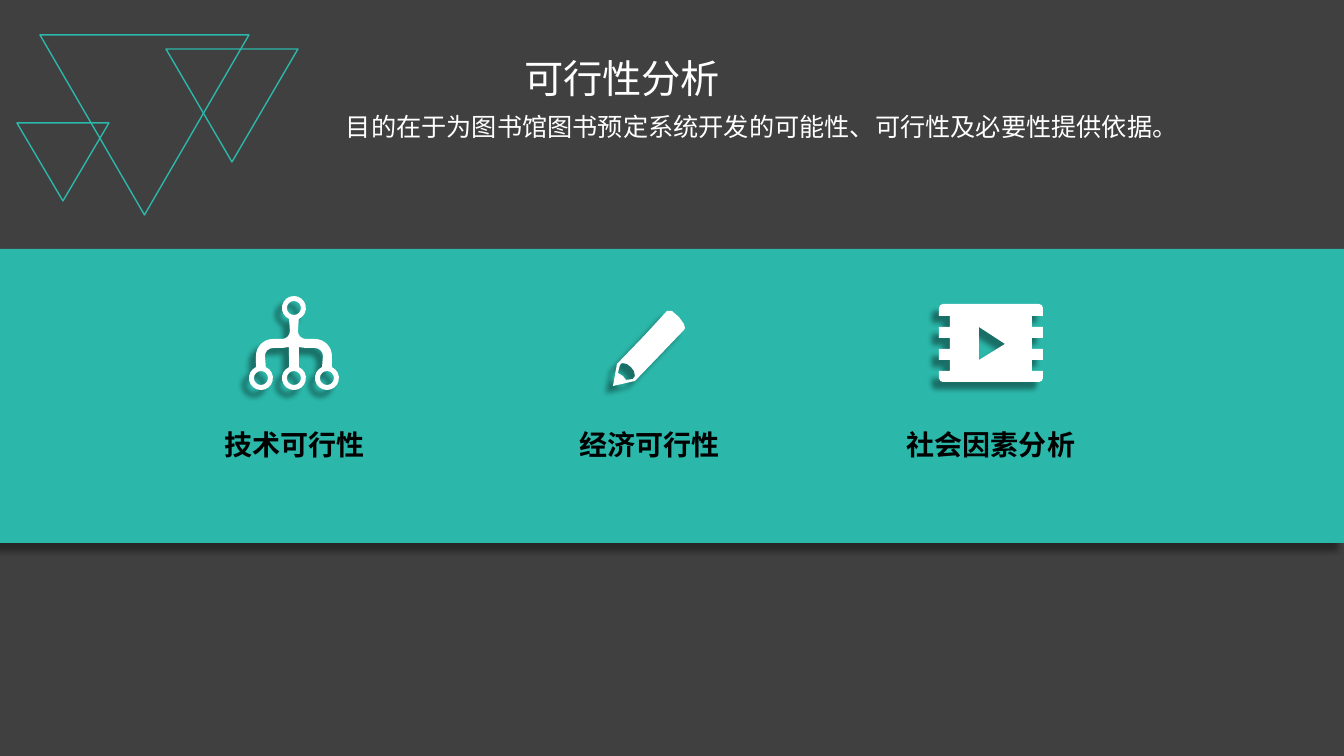
from math import ceil, cos, radians, sin, tan

from lxml.etree import SubElement
from pptx import Presentation
from pptx.dml.color import RGBColor as RGB
from pptx.enum.shapes import MSO_SHAPE as SHAPE
from pptx.enum.text import PP_ALIGN as ALIGN
from pptx.oxml import parse_xml
from pptx.oxml.ns import nsdecls, qn
from pptx.util import Pt

PX = 914400 / 100.8  # EMU per px
THEME = {
    "font": "Noto Sans CJK SC",
    "teal": RGB.from_string("2BB8AA"),
    "white": RGB.from_string("FFFFFF"),
    "black": RGB.from_string("000000"),
    "title": Pt(28), "body": Pt(18), "label": Pt(20),
}
SHADOW = (
    f'<a:effectLst {nsdecls("a")}><a:outerShdw blurRad="{Pt(4)}" dist="{Pt(7)}" '
    'dir="8100000" algn="tr" rotWithShape="0"><a:srgbClr val="000000">'
    '<a:alpha val="40000"/></a:srgbClr></a:outerShdw></a:effectLst>'
)


def emu(*lengths):
    return [round(n * PX) for n in lengths]


def arc(cx, cy, radius, start, end):
    """A corner at the start, then Bézier triples; degrees clockwise from the right."""
    count = ceil(abs(end - start) / 90)
    step = radians(end - start) / count
    k = 4 / 3 * tan(step / 4)
    points = [(cx + radius * cos(radians(start)), cy + radius * sin(radians(start)))] * 3
    for i in range(count):
        a = radians(start) + i * step
        b = a + step
        for x, y in [(cos(a) - k * sin(a), sin(a) + k * cos(a)),
                     (cos(b) + k * sin(b), sin(b) - k * cos(b)),
                     (cos(b), sin(b))]:
            points.append((cx + radius * x, cy + radius * y))
    return points


prs = Presentation()
prs.slide_width, prs.slide_height = emu(1344, 756)
s = prs.slides.add_slide(prs.slide_layouts[6])

# Dark backdrop: black at 75 %
backdrop = s.shapes.add_shape(SHAPE.RECTANGLE, *emu(0, 0, 1344, 756))
backdrop.shadow.inherit = False
backdrop.line.fill.background()
backdrop.fill.solid()
backdrop.fill.fore_color.rgb = THEME["black"]
color_node = backdrop._element.spPr.find(qn("a:solidFill"))[0]
SubElement(color_node, qn("a:alpha")).set("val", "75000")

# Outlined triangles pointing down
for box in [(40, 35, 209, 180), (166, 49, 132, 113), (17, 123, 92, 78)]:
    sp = s.shapes.add_shape(SHAPE.ISOSCELES_TRIANGLE, *emu(*box))
    sp._element.spPr.xfrm.set("flipV", "1")
    sp.shadow.inherit = False
    sp.fill.background()
    sp.line.color.rgb = THEME["teal"]
    sp.line.width = Pt(1)

# Teal band
band = s.shapes.add_shape(SHAPE.RECTANGLE, *emu(0, 249, 1344, 294))

# Hierarchy icon: one outline round the tree, then a hole in each ring
tree = [
    arc(261, 378, 12, -66, 246),
    arc(273, 356, 17, 180, 270),
    arc(282, 331, 8, 90, 0),
    arc(294, 308, 12, 114, 426),
    arc(306, 331, 8, 180, 90),
    arc(315, 356, 17, 270, 360),
    arc(327, 378, 12, -66, 246),
    arc(315, 356, 8, 0, -90),
    (306, 348), (299, 347),
    arc(294, 378, 12, -66, 246),
    (289, 347), (282, 348),
    arc(273, 356, 8, 270, 180),
]
ring_holes = [[arc(x, y, 7, 360, 0)]
              for x, y in [(294, 308), (261, 378), (294, 378), (327, 378)]]

# Pencil icon
pencil = [(613, 386), (617, 364), (644, 336), (667, 311), (672, 311), (679, 317),
          (684, 324), (685, 328), (684, 330), (661, 354), (635, 381)]
pencil_tip = [(633, 379), (626, 380), (623, 376), (618, 373), (620, 365),
              (622, 363), (627, 364), (631, 367), (634, 371), (635, 376)]

# Film icon: notches every 11 px down both edges
right_edge, left_edge = [], []
for i in range(6):
    y = 316 + 11 * i
    turn = 1 if i % 2 == 0 else -1
    right_edge += [(x, y) for x in (1043, 1032)[::turn]]
    left_edge += [(x, y) for x in (939, 950)[::turn]]
film = [arc(943, 308, 4, 180, 270), arc(1039, 308, 4, 270, 360), *right_edge,
        arc(1039, 378, 4, 0, 90), arc(943, 378, 4, 90, 180), *left_edge[::-1]]
play = [(979, 360), (979, 327), (1005, 344)]

# Each contour becomes triples of points, and each triple one Bézier curve
icons = []
for contours in [[tree, *ring_holes], [pencil, pencil_tip], [film, play]]:
    builder = None
    for contour in contours:
        points = [emu(*point) for part in contour
                  for point in (part if isinstance(part, list) else [part] * 3)]
        if builder is None:
            builder = s.shapes.build_freeform(*points[0])
        else:
            builder.move_to(*points[0])
        builder.add_line_segments(points[3:])
    icon = builder.convert_to_shape()
    lines = list(icon._element.iter(qn("a:lnTo")))
    for first, second, third in zip(lines[::3], lines[1::3], lines[2::3]):
        first.tag = qn("a:cubicBezTo")
        for extra in (second, third):
            first.append(extra[0])
            extra.getparent().remove(extra)
    icons.append(icon)

# Fill and shadow of the band and its icons
for sp, color in [(band, "teal")] + [(icon, "white") for icon in icons]:
    sp.fill.solid()
    sp.fill.fore_color.rgb = THEME[color]
    sp.line.fill.background()
    sp._element.spPr.append(parse_xml(SHADOW))

# Title, description and icon labels
texts = [
    ("可行性分析", (335, 49, 574, 57), "title", "white", ALIGN.CENTER),
    ("目的在于为图书馆图书预定系统开发的可能性、可行性及必要性提供依据。",
     (336, 106, 953, 40), "body", "white", ALIGN.LEFT),
    ("技术可行性", (194, 423, 202, 81), "label", "black", ALIGN.CENTER),
    ("经济可行性", (547, 423, 205, 81), "label", "black", ALIGN.CENTER),
    ("社会因素分析", (888, 423, 206, 81), "label", "black", ALIGN.CENTER),
]
for text, box, size, color, align in texts:
    tf = s.shapes.add_textbox(*emu(*box)).text_frame
    tf.word_wrap = True
    tf.text = text
    p = tf.paragraphs[0]
    p.alignment = align
    r = p.runs[0]
    r.font.name = THEME["font"]
    r.font.size = THEME[size]
    r.font.bold = size == "label"
    r.font.color.rgb = THEME[color]
    r._r.get_or_add_rPr().append(
        parse_xml(f'<a:ea {nsdecls("a")} typeface="{THEME["font"]}"/>'))

prs.save("out.pptx")
